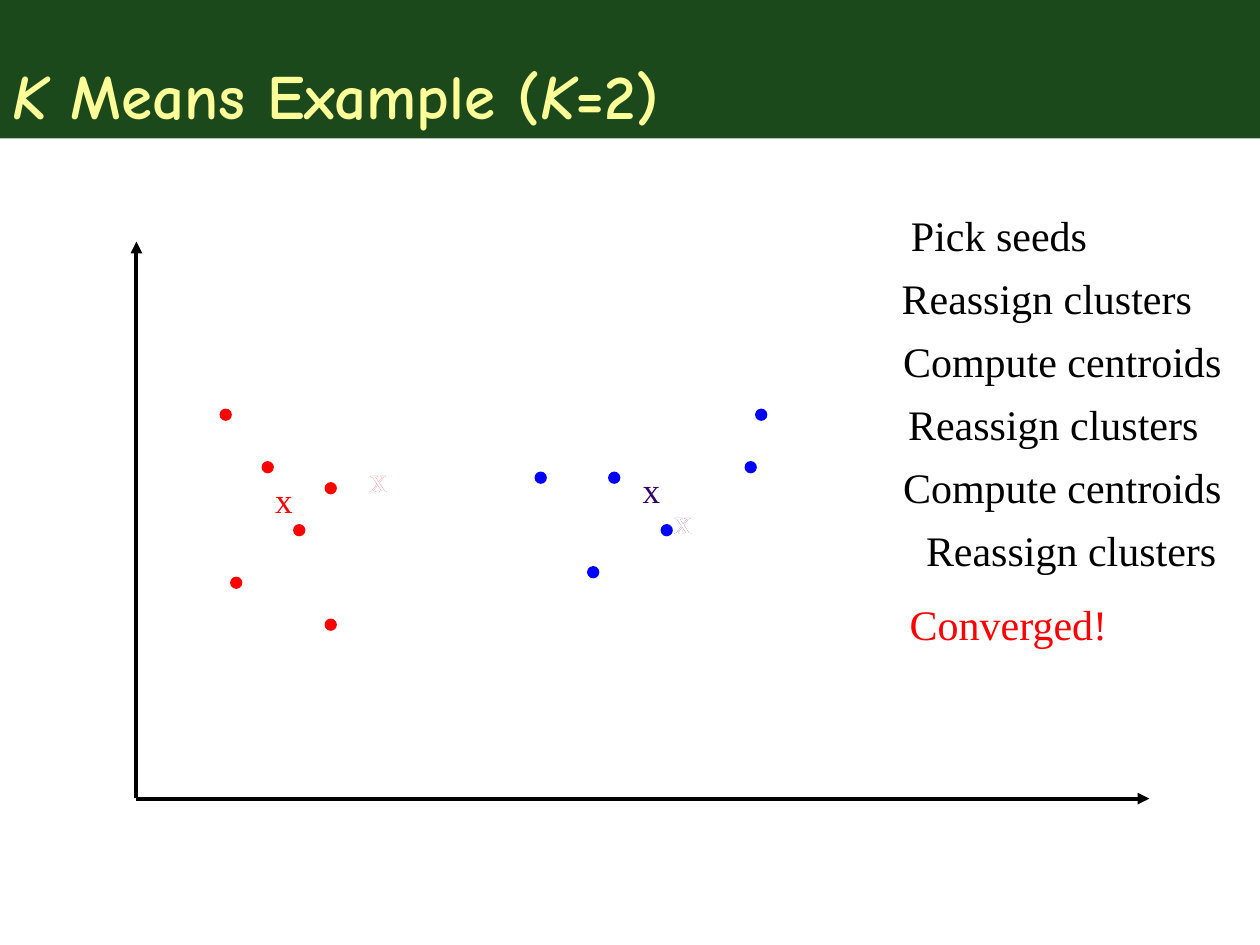
from dataclasses import dataclass

from lxml.etree import SubElement
from pptx import Presentation
from pptx.dml.color import RGBColor
from pptx.enum.shapes import MSO_CONNECTOR, MSO_SHAPE
from pptx.enum.text import MSO_ANCHOR, MSO_AUTO_SIZE, PP_ALIGN
from pptx.oxml.ns import qn
from pptx.util import Cm, Pt


@dataclass(frozen=True)
class Theme:
    black: str = "000000"
    white: str = "FFFFFF"
    red: str = "FF0000"
    blue: str = "0000FF"
    purple: str = "330066"
    banner: str = "003300"
    title: str = "FFFF99"
    banner_alpha: int = 89000
    title_font: str = "Comic Neue"
    body_font: str = "Times New Roman"
    title_size: int = 36
    step_size: int = 24
    mark_size: int = 20


THEME = Theme()
GRID = 2.54 / 12  # plot grid step in cm, also the diameter of a point

RED_POINTS = [(21, 39), (25, 44), (31, 46), (28, 50), (31, 59), (22, 55)]
BLUE_POINTS = [(63, 50), (56, 54), (71, 44), (58, 45), (72, 39), (51, 45)]

# Old centroids are covered in white before the new ones are marked
CENTROIDS = [
    (34, 43, THEME.red), (63, 47, THEME.purple),
    (34, 43, THEME.white), (63, 47, THEME.white),
    (60, 44, THEME.purple), (25, 45, THEME.red),
]

# Text, left and width; the widths leave a little slack around the text
STEPS = [
    ("Pick seeds", 18.01, 4.26),
    ("Reassign clusters", 17.83, 6.55),
    ("Compute centroids", 17.86, 7.11),
    ("Reassign clusters", 17.96, 6.55),
    ("Compute centroids", 17.86, 7.11),
    ("Reassign clusters", 18.32, 6.55),
]
STEP_TOP, STEP_PITCH = 4.09, 1.27


def rgb(color):
    return RGBColor.from_string(color)


def set_font(font, color, **values):
    for name, value in values.items():
        setattr(font, name, value)
    font.color.rgb = rgb(color)


class SlideBuilder:
    """Holds the theme and the slide being drawn; lengths are in cm."""

    def __init__(self, s, theme):
        self.s = s
        self.theme = theme

    def title(self, parts):
        """Fill the title banner from (text, italic) parts."""
        t = self.theme
        sp = self.s.shapes.title
        box = dict(left=Cm(0), top=Cm(0), width=Cm(25.4), height=Cm(2.79))
        for name, value in box.items():
            setattr(sp, name, value)
        sp.fill.solid()
        sp.fill.fore_color.rgb = rgb(t.banner)
        color = sp.fill._xPr.find(qn("a:solidFill"))[0]
        SubElement(color, qn("a:alpha"), val=str(t.banner_alpha))
        tf = sp.text_frame
        tf.auto_size = MSO_AUTO_SIZE.NONE
        tf.vertical_anchor = MSO_ANCHOR.BOTTOM
        p = tf.paragraphs[0]
        p.alignment = PP_ALIGN.LEFT
        for text, italic in parts:
            r = p.add_run()
            r.text = text
            set_font(r.font, t.title, name=t.title_font,
                     size=Pt(t.title_size), bold=True, italic=italic)

    def axis(self, x1, y1, x2, y2):
        line = self.s.shapes.add_connector(
            MSO_CONNECTOR.STRAIGHT, Cm(x1), Cm(y1), Cm(x2), Cm(y2))
        line.line.color.rgb = rgb(self.theme.black)
        line.line.width = Pt(2.25)
        SubElement(line.line._get_or_add_ln(), qn("a:tailEnd"), type="triangle")
        SubElement(line._element.spPr, qn("a:effectLst"))

    def point(self, col, row, color):
        sp = self.s.shapes.add_shape(
            MSO_SHAPE.OVAL, Cm(col * GRID), Cm(row * GRID), Cm(GRID), Cm(GRID))
        sp.shadow.inherit = False
        sp.fill.solid()
        sp.fill.fore_color.rgb = rgb(color)
        sp.line.color.rgb = rgb(color)
        sp.line.width = Pt(1)

    def label(self, text, left, top, width, height, size, color):
        sp = self.s.shapes.add_textbox(Cm(left), Cm(top), Cm(width), Cm(height))
        tf = sp.text_frame
        tf.word_wrap = False
        tf.auto_size = MSO_AUTO_SIZE.SHAPE_TO_FIT_TEXT
        p = tf.paragraphs[0]
        p.alignment = PP_ALIGN.CENTER
        r = p.add_run()
        r.text = text
        set_font(r.font, color, name=self.theme.body_font, size=Pt(size))

    def step(self, text, left, top, width, color):
        self.label(text, left, top, width, 1.27, self.theme.step_size, color)

    def centroid(self, col, row, color):
        self.label("x", col * GRID, row * GRID, 0.86, 1.12,
                   self.theme.mark_size, color)


def main():
    prs = Presentation()
    prs.slide_width, prs.slide_height = Cm(25.4), Cm(19.05)
    s = SlideBuilder(prs.slides.add_slide(prs.slide_layouts[5]), THEME)

    s.title([("K", True), (" Means Example (", False), ("K", True), ("=2)", False)])
    s.axis(2.75, 16.08, 2.75, 4.87)
    s.axis(2.75, 16.1, 23.17, 16.1)
    for points, color in ((RED_POINTS, THEME.red), (BLUE_POINTS, THEME.blue)):
        for col, row in points:
            s.point(col, row, color)
    for col, row, color in CENTROIDS:
        s.centroid(col, row, color)
    for i, (text, left, width) in enumerate(STEPS):
        s.step(text, left, STEP_TOP + i * STEP_PITCH, width, THEME.black)
    s.step("Converged!", 17.98, 11.94, 4.7, THEME.red)

    prs.save("out.pptx")


if __name__ == "__main__":
    main()
